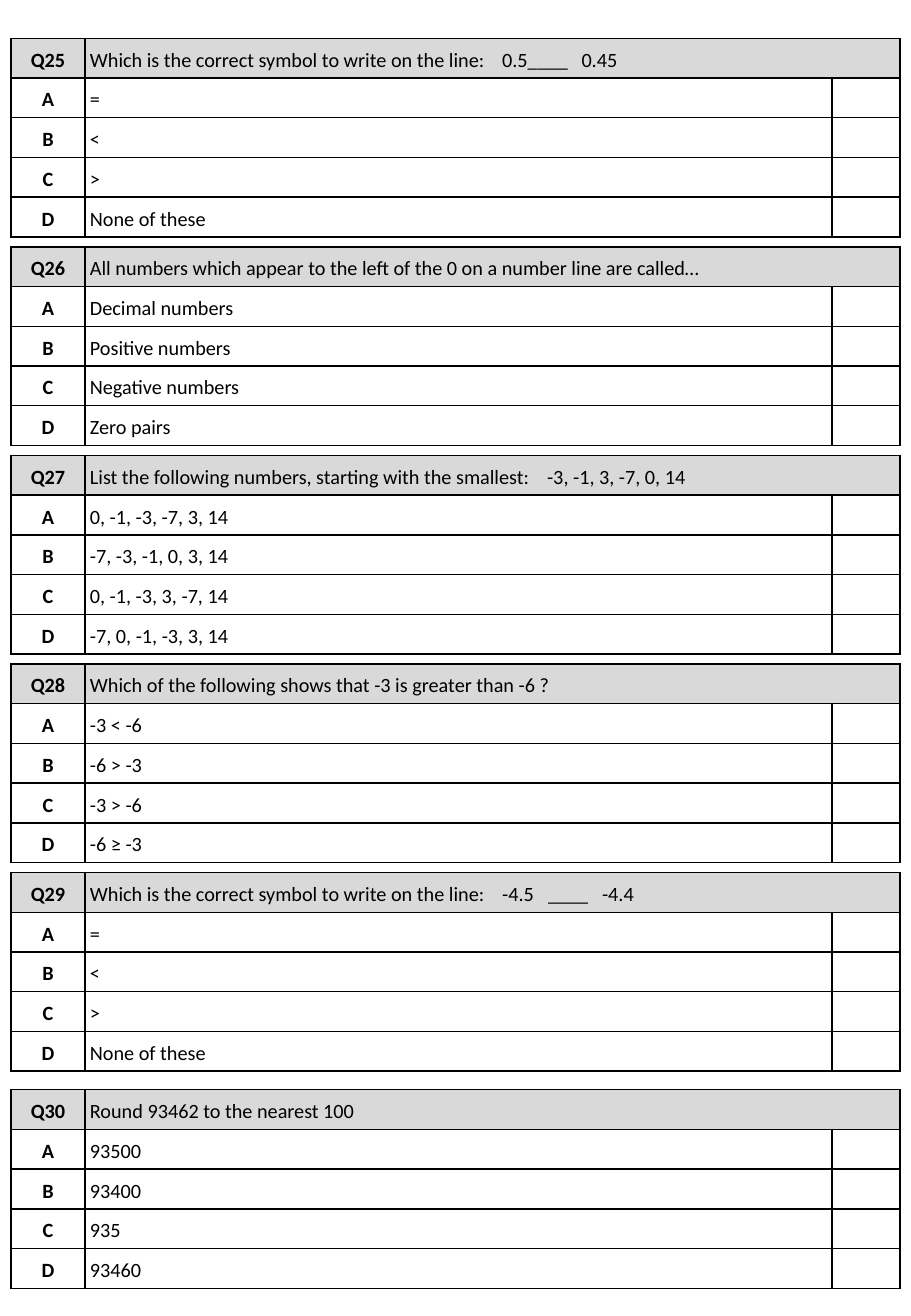
from lxml import etree
from pptx import Presentation
from pptx.dml.color import RGBColor
from pptx.enum.text import MSO_ANCHOR, PP_ALIGN
from pptx.oxml.ns import qn
from pptx.util import Cm, Pt

MIDDLE = MSO_ANCHOR.MIDDLE
CENTER, LEFT = PP_ALIGN.CENTER, PP_ALIGN.LEFT

# Content: question, answers A to D, tab stops (cm) in the question
QUESTIONS = [
    ("Which is the correct symbol to write on the line:\t0.5____\t0.45",
     ["=", "<", ">", "None of these"], [8.62, 10.28]),
    ("All numbers which appear to the left of the 0 on a number line are called…",
     ["Decimal numbers", "Positive numbers", "Negative numbers", "Zero pairs"], []),
    ("List the following numbers, starting with the smallest:\t-3, -1, 3, -7, 0, 14",
     ["0, -1, -3, -7, 3, 14", "-7, -3, -1, 0, 3, 14",
      "0, -1, -3, 3, -7, 14", "-7, 0, -1, -3, 3, 14"], [9.56]),
    ("Which of the following shows that -3 is greater than -6 ?",
     ["-3 < -6", "-6 > -3", "-3 > -6", "-6 ≥ -3"], []),
    ("Which is the correct symbol to write on the line:\t-4.5\t____\t-4.4",
     ["=", "<", ">", "None of these"], [8.62, 9.58, 10.71]),
    ("Round 93462 to the nearest 100",
     ["93500", "93400", "935", "93460"], []),
]
FIRST_NUMBER = 25
COLORS = {"ink": "000000", "header": "D9D9D9", "paper": "FFFFFF"}

# Layout in cm
LEFT_EDGE, TOP_EDGE = 0.23, 0.8
COLUMNS = [1.55, 15.62, 1.42]
ROW_HEIGHT = 0.83
PITCH = 4.36
LAST_GAP = 0.18
TEXT_INSET = 0.1


def style_cell(cell, fill):
    tc_pr = cell._tc.get_or_add_tcPr()
    for side in ("a:lnL", "a:lnR", "a:lnT", "a:lnB"):
        ln = etree.SubElement(tc_pr, qn(side), w=str(Pt(1)))
        solid = etree.SubElement(ln, qn("a:solidFill"))
        etree.SubElement(solid, qn("a:srgbClr"), val=COLORS["ink"])
    cell.fill.solid()
    cell.fill.fore_color.rgb = RGBColor.from_string(COLORS[fill])
    cell.vertical_anchor = MIDDLE
    cell.margin_left = cell.margin_right = cell.margin_top = cell.margin_bottom = 0


def write_cell(cell, text, align, bold=False, tabs=()):
    p = cell.text_frame.paragraphs[0]
    p.text = text
    if tabs:
        tab_list = etree.SubElement(p._p.get_or_add_pPr(), qn("a:tabLst"))
        for pos in tabs:
            etree.SubElement(tab_list, qn("a:tab"), pos=str(Cm(pos)), algn="l")
    p.alignment = align
    p.line_spacing = 1.18
    p.space_after = Pt(6)
    p.font.name = "Calibri"
    p.font.size = Pt(12)
    p.font.bold = bold
    p.font.color.rgb = RGBColor.from_string(COLORS["ink"])


def add_question(s, number, top, question, answers, tabs):
    rows = [(f"Q{number}", question), *zip("ABCD", answers)]
    table = s.shapes.add_table(len(rows), len(COLUMNS), Cm(LEFT_EDGE), Cm(top),
                               Cm(sum(COLUMNS)), Cm(ROW_HEIGHT * len(rows))).table
    table.first_row = table.horz_banding = False
    for column, width in zip(table.columns, COLUMNS):
        column.width = Cm(width)
    for i, (label, text) in enumerate(rows):
        table.rows[i].height = Cm(ROW_HEIGHT)
        for cell in table.rows[i].cells:
            style_cell(cell, "paper" if i else "header")
        write_cell(table.cell(i, 0), label, CENTER, bold=True)
        write_cell(table.cell(i, 1), text, LEFT, tabs=() if i else tabs)
        table.cell(i, 1).margin_left = Cm(TEXT_INSET)
    # The question spans the answer and tick columns
    table.cell(0, 1).merge(table.cell(0, 2))


def main():
    prs = Presentation()
    prs.slide_width, prs.slide_height = Cm(19.05), Cm(27.51)
    s = prs.slides.add_slide(prs.slide_layouts[6])
    for i, (question, answers, tabs) in enumerate(QUESTIONS):
        top = TOP_EDGE + i * PITCH
        if i == len(QUESTIONS) - 1:
            top += LAST_GAP
        add_question(s, FIRST_NUMBER + i, top, question, answers, tabs)
    prs.save("out.pptx")


if __name__ == "__main__":
    main()
